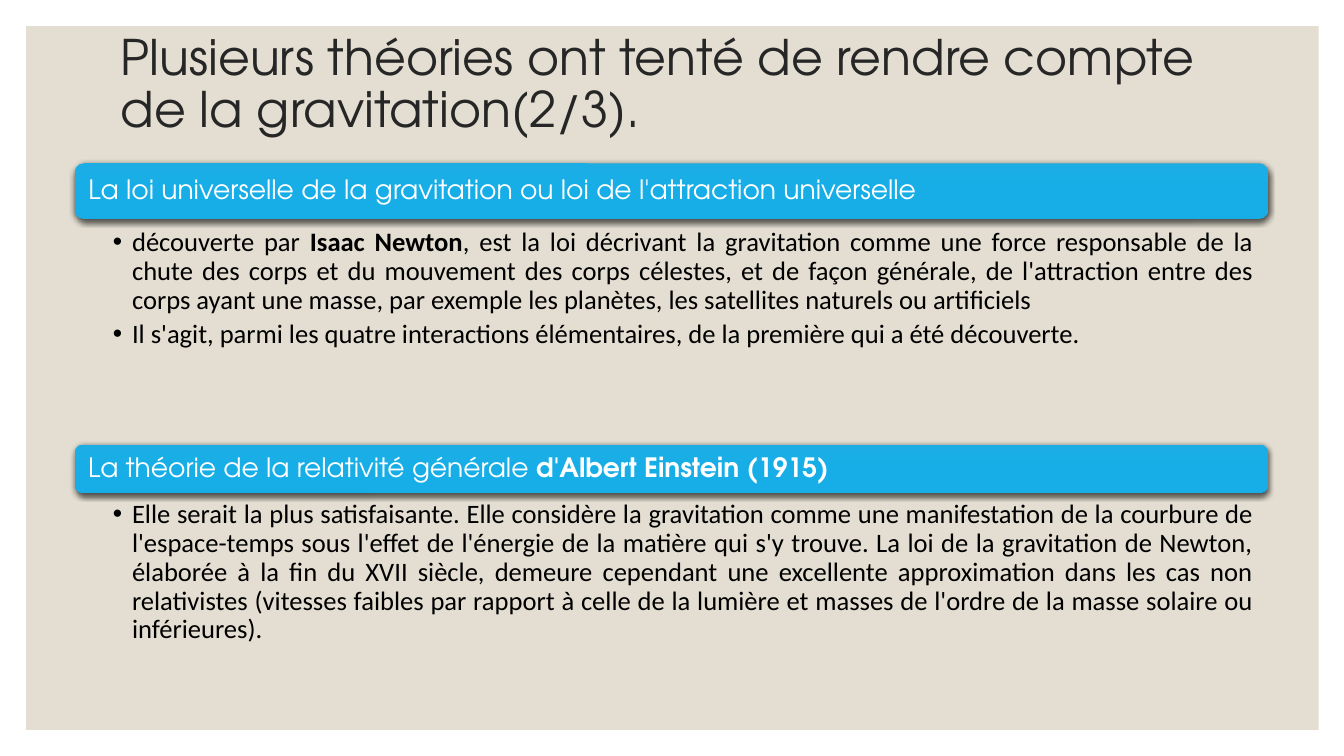
from copy import deepcopy
from dataclasses import dataclass

from lxml.etree import SubElement
from pptx import Presentation
from pptx.dml.color import RGBColor
from pptx.enum.shapes import MSO_SHAPE as Preset
from pptx.enum.text import MSO_ANCHOR as Anchor, PP_ALIGN as Align
from pptx.oxml.ns import qn
from pptx.shapes.autoshape import Shape
from pptx.slide import Slide
from pptx.text.text import TextFrame
from pptx.util import Inches, Pt

PAPER = RGBColor(0xE3, 0xDE, 0xD1)
WHITE = RGBColor(0xFF, 0xFF, 0xFF)
BLACK = RGBColor(0x00, 0x00, 0x00)
CHARCOAL = RGBColor(0x26, 0x26, 0x26)
BAR_BLUES = (RGBColor(0x1C, 0xAD, 0xE4), RGBColor(0x17, 0xAE, 0xE8),
             RGBColor(0x17, 0xAE, 0xE7))

# The slide is a grid of 100 columns by 100 rows
WIDTH, HEIGHT = Inches(13.33), Inches(7.5)
COLUMN, ROW = WIDTH / 100, HEIGHT / 100
THEORY_LEFT, THEORY_WIDTH = 5.55, 88.82


@dataclass(frozen=True)
class Box:
    left: float
    top: float
    width: float
    height: float

    def emu(self) -> tuple[int, int, int, int]:
        return (round(self.left * COLUMN), round(self.top * ROW),
                round(self.width * COLUMN), round(self.height * ROW))


@dataclass(frozen=True)
class Piece:
    text: str
    bold: bool = False


@dataclass(frozen=True)
class Style:
    font: dict
    paragraph: dict
    frame: dict
    bulleted: bool = False


@dataclass(frozen=True)
class Theory:
    heading: list[Piece]
    points: list[list[Piece]]
    bar_top: float
    bar_height: float
    body_top: float
    body_height: float


def margins(left: float, top: float, right: float, bottom: float) -> dict:
    return {"margin_left": Inches(left), "margin_top": Inches(top),
            "margin_right": Inches(right), "margin_bottom": Inches(bottom)}


TITLE = Style(
    {"name": "TeX Gyre Adventor", "size": Pt(35)},
    {"alignment": Align.LEFT, "line_spacing": 0.9},
    {"vertical_anchor": Anchor.MIDDLE, **margins(0.1, 0.05, 0.1, 0.05)})
HEADING = Style(
    {"name": "TeX Gyre Adventor", "size": Pt(19)},
    {"alignment": Align.LEFT, "line_spacing": 0.9, "space_after": Pt(6.65)},
    {"vertical_anchor": Anchor.MIDDLE, **margins(0.11, 0.11, 0.11, 0.11)})
BODY = Style(
    {"name": "Calibri", "size": Pt(19)},
    {"alignment": Align.JUSTIFY, "line_spacing": 0.9, "space_after": Pt(3.8),
     "level": 1},
    {"vertical_anchor": Anchor.TOP, **margins(0.38, 0.03, 0.15, 0.03)},
    bulleted=True)

THEORIES = [
    Theory(
        [Piece("La loi universelle de la gravitation ou loi de l'attraction universelle")],
        [[Piece("découverte par "), Piece("Isaac Newton", True),
          Piece(", est la loi décrivant la gravitation comme une force responsable "
                "de la chute des corps et du mouvement des corps célestes, et de façon "
                "générale, de l'attraction entre des corps ayant une masse, par exemple "
                "les planètes, les satellites naturels ou artificiels")],
         [Piece("Il s'agit, parmi les quatre interactions élémentaires, de la première "
                "qui a été découverte.")]],
        bar_top=21.6, bar_height=7.33, body_top=29.87, body_height=26.53),
    Theory(
        [Piece("La théorie de la relativité générale "),
         Piece("d'Albert Einstein (1915)", True)],
        [[Piece("Elle serait la plus satisfaisante. Elle considère la gravitation comme "
                "une manifestation de la courbure de l'espace-temps sous l'effet de "
                "l'énergie de la matière qui s'y trouve. La loi de la gravitation de "
                "Newton, élaborée à la fin du XVII siècle, demeure cependant une "
                "excellente approximation dans les cas non relativistes (vitesses "
                "faibles par rapport à celle de la lumière et masses de l'ordre de la "
                "masse solaire ou inférieures).")]],
        bar_top=58.8, bar_height=6.4, body_top=65.87, body_height=20.27),
]


def apply(target: object, values: dict) -> None:
    for key, value in values.items():
        setattr(target, key, value)


def write(frame: TextFrame, paragraphs: list[list[Piece]], style: Style,
          color: RGBColor) -> None:
    apply(frame, {"word_wrap": True, **style.frame})
    for index, pieces in enumerate(paragraphs):
        paragraph = frame.add_paragraph() if index else frame.paragraphs[0]
        apply(paragraph, style.paragraph)
        if style.bulleted:
            properties = paragraph._p.get_or_add_pPr()
            properties.set("marL", str(Inches(0.19)))
            properties.set("indent", str(-Inches(0.19)))
            SubElement(properties, qn("a:buFont"), typeface="Arial")
            SubElement(properties, qn("a:buChar"), char="•")
        for piece in pieces:
            run = paragraph.add_run()
            run.text = piece.text
            apply(run.font, {**style.font, "bold": piece.bold})
            run.font.color.rgb = color


def add_text(slide: Slide, box: Box, paragraphs: list[list[Piece]], style: Style,
             color: RGBColor) -> None:
    write(slide.shapes.add_textbox(*box.emu()).text_frame, paragraphs, style, color)


def add_panel(slide: Slide, preset: Preset, box: Box) -> Shape:
    panel = slide.shapes.add_shape(preset, *box.emu())
    panel.shadow.inherit = False
    panel.line.fill.background()
    return panel


def add_bar(slide: Slide, box: Box, heading: list[Piece]) -> None:
    bar = add_panel(slide, Preset.ROUNDED_RECTANGLE, box)
    bar.fill.gradient()
    bar.fill.gradient_angle = 270
    properties = bar._element.spPr
    stops = properties.find(".//" + qn("a:gsLst"))
    stops.insert(1, deepcopy(stops[0]))
    for stop, position, blue in zip(bar.fill.gradient_stops, (0, 0.5, 1), BAR_BLUES):
        stop.position = position
        stop.color.rgb = blue
    # Soft shadow below the bar
    shadow = SubElement(properties.find(qn("a:effectLst")), qn("a:outerShdw"),
                        blurRad=str(Pt(4.5)), dist=str(Pt(1.5)), dir="5400000",
                        algn="ctr", rotWithShape="0")
    shade = SubElement(shadow, qn("a:srgbClr"), val=str(BLACK))
    SubElement(shade, qn("a:alpha"), val="63000")
    write(bar.text_frame, [heading], HEADING, WHITE)


def add_theory(slide: Slide, theory: Theory) -> None:
    add_bar(slide, Box(THEORY_LEFT, theory.bar_top, THEORY_WIDTH, theory.bar_height),
            theory.heading)
    add_text(slide, Box(THEORY_LEFT, theory.body_top, THEORY_WIDTH, theory.body_height),
             theory.points, BODY, BLACK)


def main() -> None:
    deck = Presentation()
    apply(deck, {"slide_width": WIDTH, "slide_height": HEIGHT})
    slide = deck.slides.add_slide(deck.slide_layouts[6])

    # Background panel
    paper = add_panel(slide, Preset.RECTANGLE, Box(1.95, 3.47, 96.17, 93.07))
    paper.fill.solid()
    paper.fill.fore_color.rgb = PAPER

    # Theories, then the title
    for theory in THEORIES:
        add_theory(slide, theory)
    add_text(slide, Box(8.25, 1.33, 82.52, 20),
             [[Piece("Plusieurs théories ont tenté de rendre compte de la gravitation(2/3).")]],
             TITLE, CHARCOAL)

    deck.save("out.pptx")


if __name__ == "__main__":
    main()
